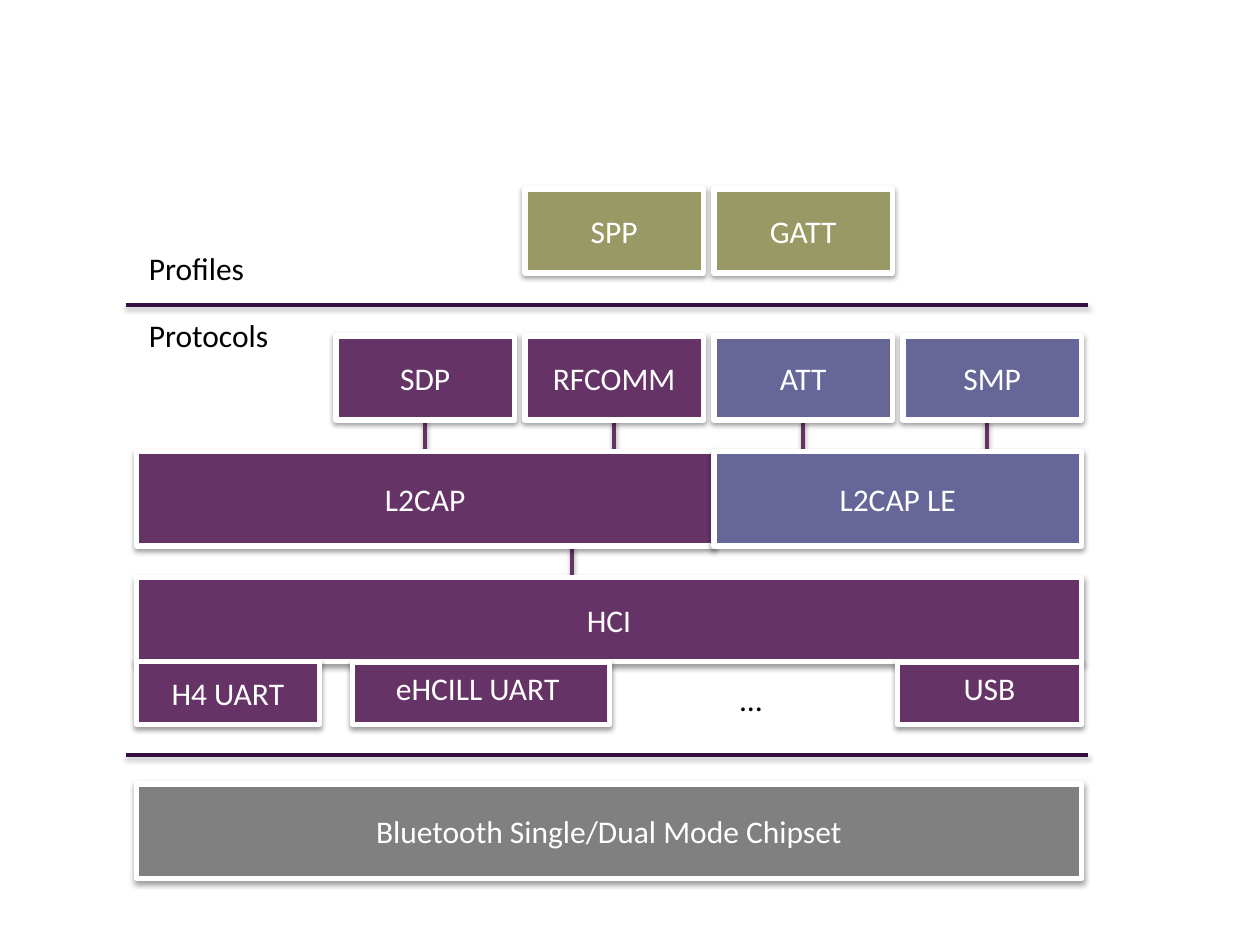
from lxml import etree
from pptx import Presentation
from pptx.dml.color import RGBColor
from pptx.enum.shapes import MSO_CONNECTOR, MSO_SHAPE
from pptx.enum.text import MSO_ANCHOR, PP_ALIGN
from pptx.oxml.ns import qn
from pptx.util import Pt

RECTANGLE = MSO_SHAPE.RECTANGLE
STRAIGHT = MSO_CONNECTOR.STRAIGHT
TOP, MIDDLE = MSO_ANCHOR.TOP, MSO_ANCHOR.MIDDLE
LEFT, CENTER = PP_ALIGN.LEFT, PP_ALIGN.CENTER

WHITE = RGBColor(0xFF, 0xFF, 0xFF)
BLACK = RGBColor(0x00, 0x00, 0x00)
PURPLE = RGBColor(0x66, 0x33, 0x66)
DARK_PURPLE = RGBColor(0x33, 0x0F, 0x42)
BLUE = RGBColor(0x66, 0x66, 0x99)
OLIVE = RGBColor(0x99, 0x99, 0x66)
GRAY = RGBColor(0x80, 0x80, 0x80)


def add_shadow(properties):
    """Append a soft shadow straight below to the shape properties."""
    effects = etree.SubElement(properties, qn("a:effectLst"))
    shadow = etree.SubElement(effects, qn("a:outerShdw"), blurRad=str(Pt(3.1)),
                              dist=str(Pt(1.6)), dir="5400000", rotWithShape="0")
    color = etree.SubElement(shadow, qn("a:srgbClr"), val="000000")
    etree.SubElement(color, qn("a:alpha"), val="38000")


def write(frame, text, color, align, anchor):
    """Put one line of text into a text frame."""
    frame.vertical_anchor = anchor
    paragraph = frame.paragraphs[0]
    paragraph.text = text
    paragraph.alignment = align
    paragraph.font.name = "Calibri"
    paragraph.font.size = Pt(18)
    paragraph.font.color.rgb = color


prs = Presentation()
prs.slide_width, prs.slide_height = Pt(720), Pt(540)
slide = prs.slides.add_slide(prs.slide_layouts[6])

# Column grid shared by profiles and protocols
columns = [192 + 108 * i for i in range(4)]
column_width, row_height = 102, 48
stack_left, stack_width = 78, 540
le_left = columns[2]
stack_right = stack_left + stack_width
profile_top, protocol_top, l2cap_top, hci_top = 108, 192, 258, 330
protocol_bottom = protocol_top + row_height
transport_top = hci_top + row_height

# Links between layers, then the two layer dividers
links = [(x + column_width / 2, protocol_bottom, x + column_width / 2, l2cap_top)
         for x in columns[:3]]
links.append((564, protocol_bottom, 564, l2cap_top))
links.append((327, 312, 327, hci_top))
lines = [(PURPLE, link) for link in links]
lines += [(DARK_PURPLE, (72, y, 622, y)) for y in (174.2, 431.3)]
for color, ends in lines:
    line = slide.shapes.add_connector(STRAIGHT, *[Pt(v) for v in ends])
    line.line.color.rgb = color
    line.line.width = Pt(2)
    add_shadow(line._element.spPr)

# Text, left, top, width, height, fill, anchor
blocks = [
    ("Bluetooth Single/Dual Mode Chipset", stack_left, 448, stack_width, 54, GRAY, MIDDLE),
    ("HCI", stack_left, hci_top, stack_width, row_height, PURPLE, MIDDLE),
    ("L2CAP", stack_left, l2cap_top, le_left - stack_left, 54, PURPLE, MIDDLE),
    ("L2CAP LE", le_left, l2cap_top, stack_right - le_left, 54, BLUE, MIDDLE),
    ("H4 UART", stack_left, transport_top, 104.4, 36, PURPLE, MIDDLE),
    ("eHCILL UART ", 201.6, 378.7, 146.9, 35.3, PURPLE, TOP),
    ("USB", 512.8, 378.7, 105.2, 35.3, PURPLE, TOP),
]
cells = [("SDP", 0, protocol_top, PURPLE), ("RFCOMM", 1, protocol_top, PURPLE),
         ("ATT", 2, protocol_top, BLUE), ("SMP", 3, protocol_top, BLUE),
         ("SPP", 1, profile_top, OLIVE), ("GATT", 2, profile_top, OLIVE)]
blocks += [(text, columns[column], top, column_width, row_height, fill, MIDDLE)
           for text, column, top, fill in cells]

for text, left, top, width, height, fill, anchor in blocks:
    block = slide.shapes.add_shape(RECTANGLE, Pt(left), Pt(top), Pt(width), Pt(height))
    block.fill.solid()
    block.fill.fore_color.rgb = fill
    block.line.color.rgb = WHITE
    block.line.width = Pt(3)
    add_shadow(block._element.spPr)
    write(block.text_frame, text, WHITE, CENTER, anchor)

labels = [("Profiles", 78, 139, 70, LEFT, False),
          ("Protocols", 78, 177.3, 83.5, LEFT, False),
          ("…", 383.8, 385.2, 90.7, CENTER, True)]
for text, left, top, width, align, wrap in labels:
    label = slide.shapes.add_textbox(Pt(left), Pt(top), Pt(width), Pt(29))
    label.text_frame.word_wrap = wrap
    write(label.text_frame, text, BLACK, align, TOP)

prs.save("out.pptx")
